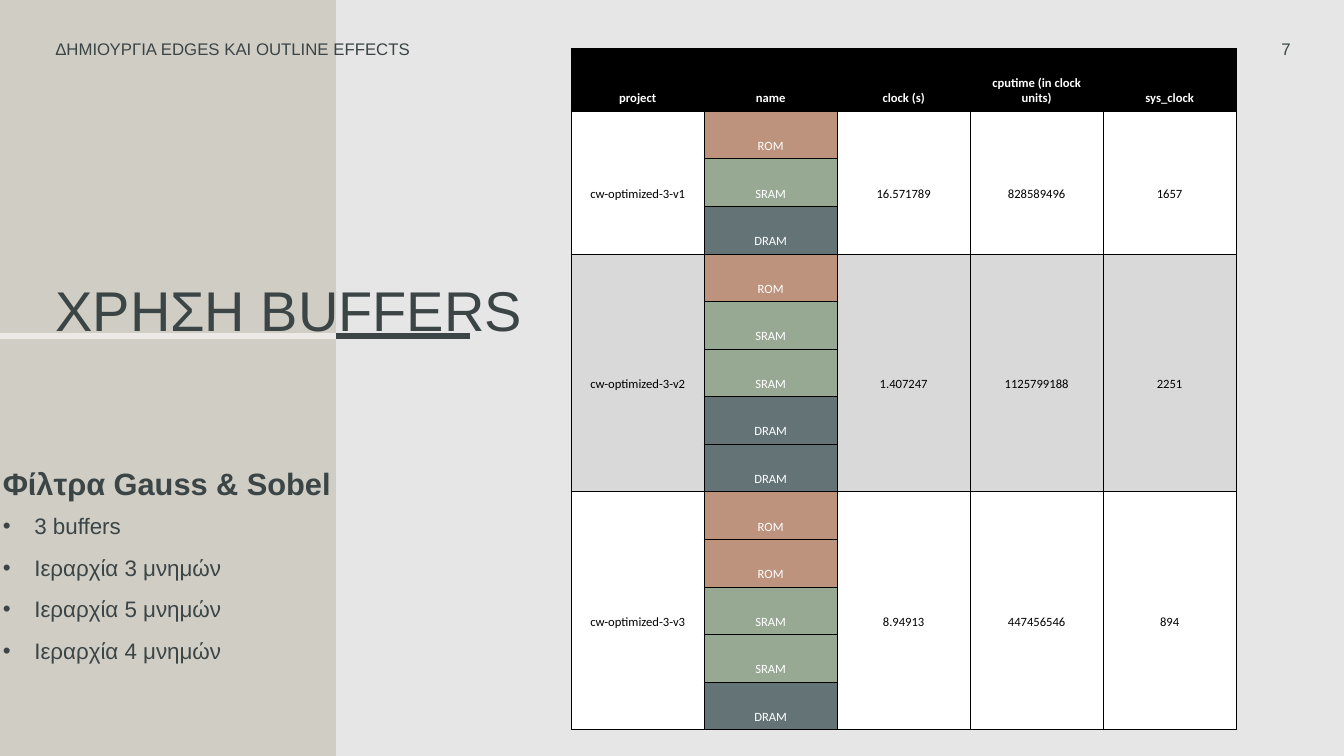
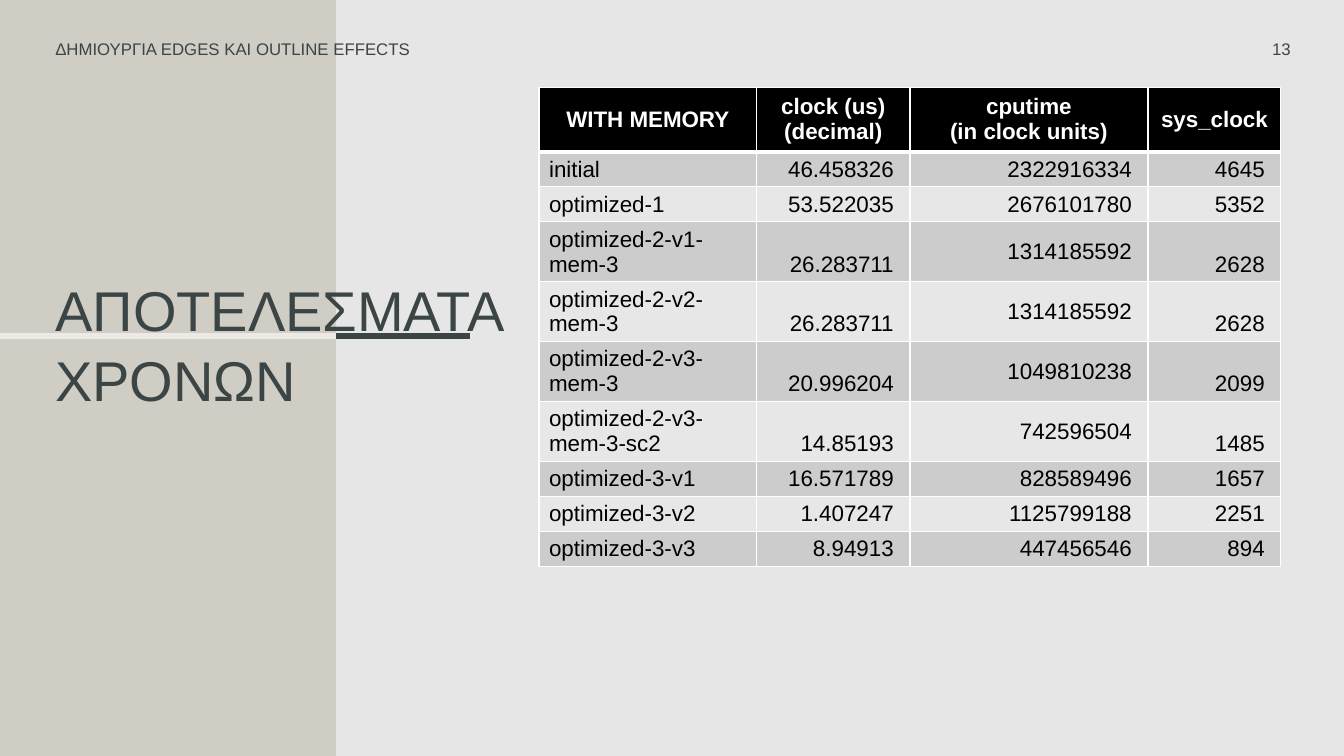
from dataclasses import dataclass, replace

from lxml import etree
from pptx import Presentation
from pptx.dml.color import RGBColor
from pptx.enum import shapes, text
from pptx.oxml.ns import qn
from pptx.util import Pt

LEFT, CENTER, RIGHT = text.PP_ALIGN.LEFT, text.PP_ALIGN.CENTER, text.PP_ALIGN.RIGHT
TOP, MIDDLE, BOTTOM = text.MSO_ANCHOR.TOP, text.MSO_ANCHOR.MIDDLE, text.MSO_ANCHOR.BOTTOM


@dataclass(frozen=True)
class Theme:
    background: str = "E7E6E6"
    band: str = "D0CDC5"
    pale_rule: str = "EDE9E6"
    ink: str = "3B4546"
    black: str = "000000"
    white: str = "FFFFFF"
    grey: str = "D9D9D9"
    dark_row: str = "CCCCCC"
    light_row: str = "E7E7E7"
    rom: str = "BE937E"
    sram: str = "97A993"
    dram: str = "637376"
    title_size: float = 40
    subtitle_size: float = 22
    body_size: float = 16
    running_size: float = 12
    small_size: float = 9


THEME = Theme()


@dataclass(frozen=True)
class TextStyle:
    size: float
    color: str = THEME.ink
    font: str = "Arial"
    bold: bool = False
    align: text.PP_ALIGN = LEFT


@dataclass(frozen=True)
class Box:
    left: float
    top: float
    width: float
    height: float

    def lengths(self) -> tuple[Pt, Pt, Pt, Pt]:
        return Pt(self.left), Pt(self.top), Pt(self.width), Pt(self.height)


@dataclass(frozen=True)
class Margins:
    left: float = 7.2
    top: float = 3.6
    right: float = 7.2
    bottom: float = 3.6


@dataclass(frozen=True)
class CellStyle:
    words: TextStyle
    fill: str
    anchor: text.MSO_ANCHOR
    border: str
    weight: float
    top_weight: float | None = None
    bottom_weight: float | None = None
    margins: Margins = Margins()


@dataclass(frozen=True)
class MemoryProject:
    name: str
    memories: tuple[str, ...]
    clock: str
    cputime: str
    sys_clock: str
    fill: str


@dataclass(frozen=True)
class Timing:
    name: str
    clock: str
    cputime: str
    sys_clock: str
    height: float = 25


TITLE = TextStyle(THEME.title_size)
RUNNING = TextStyle(THEME.running_size)
RUNNING_TITLE = "ΔΗΜΙΟΥΡΓΙΑ EDGES ΚΑΙ OUTLINE EFFECTS"
MEMORY_COLORS = {"ROM": THEME.rom, "SRAM": THEME.sram, "DRAM": THEME.dram}

MEMORY_HEADINGS = ("project", "name", "clock (s)", "cputime (in clock units)", "sys_clock")
MEMORY_PROJECTS = (
    MemoryProject("cw-optimized-3-v1", ("ROM", "SRAM", "DRAM"),
                  "16.571789", "828589496", "1657", THEME.white),
    MemoryProject("cw-optimized-3-v2", ("ROM", "SRAM", "SRAM", "DRAM", "DRAM"),
                  "1.407247", "1125799188", "2251", THEME.grey),
    MemoryProject("cw-optimized-3-v3", ("ROM", "ROM", "SRAM", "SRAM", "DRAM"),
                  "8.94913", "447456546", "894", THEME.white),
)
BUFFER_NOTES = ("3 buffers", "Ιεραρχία 3 μνημών", "Ιεραρχία 5 μνημών", "Ιεραρχία 4 μνημών")

TIMING_HEADINGS = ("WITH MEMORY", "clock (us) (decimal)", "cputime\n(in clock units)", "sys_clock")
TWO_LINES = 42.8
TIMINGS = (
    Timing("initial", "46.458326", "2322916334", "4645"),
    Timing("optimized-1", "53.522035", "2676101780", "5352"),
    Timing("optimized-2-v1-mem-3", "26.283711", "1314185592", "2628", TWO_LINES),
    Timing("optimized-2-v2-mem-3", "26.283711", "1314185592", "2628", TWO_LINES),
    Timing("optimized-2-v3-mem-3", "20.996204", "1049810238", "2099", TWO_LINES),
    Timing("optimized-2-v3-mem-3-sc2", "14.85193", "742596504", "1485", TWO_LINES),
    Timing("optimized-3-v1", "16.571789", "828589496", "1657"),
    Timing("optimized-3-v2", "1.407247", "1125799188", "2251"),
    Timing("optimized-3-v3", "8.94913", "447456546", "894"),
)


def rgb(color: str) -> RGBColor:
    return RGBColor.from_string(color)


def write(frame, words: str, style: TextStyle) -> None:
    frame.text = words
    for paragraph in frame.paragraphs:
        paragraph.alignment = style.align
        paragraph.line_spacing = 1.0
        for run in paragraph.runs:
            run.font.size = Pt(style.size)
            run.font.name = style.font
            run.font.bold = style.bold
            run.font.color.rgb = rgb(style.color)


def set_margins(target, margins: Margins) -> None:
    target.margin_left, target.margin_top = Pt(margins.left), Pt(margins.top)
    target.margin_right, target.margin_bottom = Pt(margins.right), Pt(margins.bottom)


def add_text(slide, box: Box, words: str, style: TextStyle,
             anchor=TOP, margins: Margins = Margins()):
    frame = slide.shapes.add_textbox(*box.lengths()).text_frame
    frame.word_wrap = True
    frame.vertical_anchor = anchor
    set_margins(frame, margins)
    write(frame, words, style)
    return frame


def add_rule(slide, start: float, end: float, color: str) -> None:
    y = Pt(240)
    rule = slide.shapes.add_connector(shapes.MSO_CONNECTOR.STRAIGHT, Pt(start), y, Pt(end), y)
    rule.line.color.rgb = rgb(color)
    rule.line.width = Pt(4.5)
    etree.SubElement(rule.element.spPr, qn("a:effectLst"))


def add_slide(prs, title: str, number: str):
    """Add a slide with the shared band, rules, running title and page number."""
    slide = prs.slides.add_slide(prs.slide_layouts[5])
    band = slide.shapes.add_shape(shapes.MSO_SHAPE.RECTANGLE, *Box(0, 0, 240, 540).lengths())
    band.shadow.inherit = False
    band.fill.solid()
    band.fill.fore_color.rgb = rgb(THEME.band)
    band.line.fill.background()
    add_rule(slide, 0, 240, THEME.pale_rule)
    add_rule(slide, 240, 336, THEME.ink)
    add_text(slide, Box(32.4, 24, 362, 22), RUNNING_TITLE, RUNNING, MIDDLE)
    add_text(slide, Box(797, 24, 132, 22), number, replace(RUNNING, align=RIGHT), MIDDLE)

    heading = slide.shapes.title
    heading.left, heading.top, heading.width, heading.height = Box(32.4, 193, 360, 54).lengths()
    frame = heading.text_frame
    frame.auto_size = text.MSO_AUTO_SIZE.NONE
    frame.vertical_anchor = TOP
    frame.word_wrap = True
    set_margins(frame, Margins())
    write(frame, title, TITLE)
    heading.element.getparent().append(heading.element)  # in front of band and rules
    return slide


def add_grid(slide, left: float, top: float, widths: list[float], heights: list[float]):
    box = Box(left, top, sum(widths), sum(heights))
    table = slide.shapes.add_table(len(heights), len(widths), *box.lengths()).table
    table.first_row = table.horz_banding = False
    for column, width in zip(table.columns, widths):
        column.width = Pt(width)
    for row, height in zip(table.rows, heights):
        row.height = Pt(height)
    return table


def style_cell(cell, style: CellStyle) -> None:
    cell.vertical_anchor = style.anchor
    set_margins(cell, style.margins)
    properties = cell._tc.get_or_add_tcPr()
    weights = {"L": style.weight, "R": style.weight,
               "T": style.top_weight or style.weight,
               "B": style.bottom_weight or style.weight}
    for side, weight in weights.items():
        edge = etree.SubElement(properties, qn(f"a:ln{side}"), w=str(int(Pt(weight))))
        solid = etree.SubElement(edge, qn("a:solidFill"))
        etree.SubElement(solid, qn("a:srgbClr"), val=style.border)
    cell.fill.solid()
    cell.fill.fore_color.rgb = rgb(style.fill)


def fill_cell(cell, words: str, style: CellStyle) -> None:
    style_cell(cell, style)
    write(cell.text_frame, words, style.words)


def add_bullets(slide, box: Box, items: tuple[str, ...]) -> None:
    frame = add_text(slide, box, "\n".join(items), TextStyle(THEME.body_size),
                     margins=Margins(2, 0, 0, 0))
    indent = int(Pt(22.5))
    for paragraph in frame.paragraphs:
        paragraph.space_after = Pt(10.5)
        properties = paragraph._p.get_or_add_pPr()
        properties.set("marL", str(indent))
        properties.set("indent", str(-indent))
        etree.SubElement(properties, qn("a:buFont"), typeface="Arial")
        etree.SubElement(properties, qn("a:buChar"), char="•")


def add_memory_table(slide) -> None:
    memory_count = sum(len(project.memories) for project in MEMORY_PROJECTS)
    table = add_grid(slide, 408, 34.5, [95] * len(MEMORY_HEADINGS), [45] + [34] * memory_count)
    label = TextStyle(THEME.small_size, THEME.white, "Calibri", align=CENTER)
    heading = CellStyle(replace(label, bold=True), THEME.black, BOTTOM, THEME.black, 0.75)
    for column, words in enumerate(MEMORY_HEADINGS):
        fill_cell(table.cell(0, column), words, heading)

    first = 1
    for project in MEMORY_PROJECTS:
        last = first + len(project.memories) - 1
        value = replace(heading, words=replace(label, color=THEME.black), fill=project.fill,
                        anchor=MIDDLE, margins=Margins(top=18, bottom=2))
        values = {0: project.name, 2: project.clock, 3: project.cputime, 4: project.sys_clock}
        for column, words in values.items():
            for row in range(first, last + 1):
                style_cell(table.cell(row, column), value)
            table.cell(first, column).merge(table.cell(last, column))
            write(table.cell(first, column).text_frame, words, value.words)
        for row, memory in enumerate(project.memories, first):
            fill_cell(table.cell(row, 1), memory,
                      replace(heading, words=label, fill=MEMORY_COLORS[memory]))
        first = last + 1


def add_timing_table(slide) -> None:
    heights = [46] + [timing.height for timing in TIMINGS]
    table = add_grid(slide, 385, 62.5, [155.5, 109.5, 170, 95], heights)
    words = TextStyle(THEME.body_size, THEME.black)
    heading = CellStyle(replace(words, color=THEME.white, bold=True, align=CENTER),
                        THEME.black, MIDDLE, THEME.white, 1, bottom_weight=3)
    for column, label in enumerate(TIMING_HEADINGS):
        fill_cell(table.cell(0, column), label, heading)

    for row, timing in enumerate(TIMINGS, 1):
        name = CellStyle(words, THEME.dark_row if row % 2 else THEME.light_row, BOTTOM,
                         THEME.white, 1, top_weight=3 if row == 1 else None)
        number = replace(name, words=replace(words, align=RIGHT), margins=Margins(right=11.6))
        fill_cell(table.cell(row, 0), timing.name, name)
        fill_cell(table.cell(row, 1), timing.clock, number)
        fill_cell(table.cell(row, 2), timing.cputime, replace(number, anchor=MIDDLE))
        fill_cell(table.cell(row, 3), timing.sys_clock, number)


def main() -> None:
    prs = Presentation()
    prs.slide_width, prs.slide_height = Pt(960), Pt(540)
    background = prs.slide_master.background.fill
    background.solid()
    background.fore_color.rgb = rgb(THEME.background)

    buffers = add_slide(prs, "ΧΡΗΣΗ BUFFERS", "7")
    add_text(buffers, Box(0, 325, 280, 40), "Φίλτρα Gauss & Sobel",
             TextStyle(THEME.subtitle_size, bold=True), MIDDLE, Margins(left=2))
    add_bullets(buffers, Box(0, 366, 245, 120), BUFFER_NOTES)
    add_memory_table(buffers)

    results = add_slide(prs, "ΑΠΟΤΕΛΕΣΜΑΤΑ", "13")
    add_timing_table(results)
    add_text(results, Box(32.4, 243, 350, 63), "ΧΡΟΝΩΝ", TITLE)

    prs.save("out.pptx")


if __name__ == "__main__":
    main()
